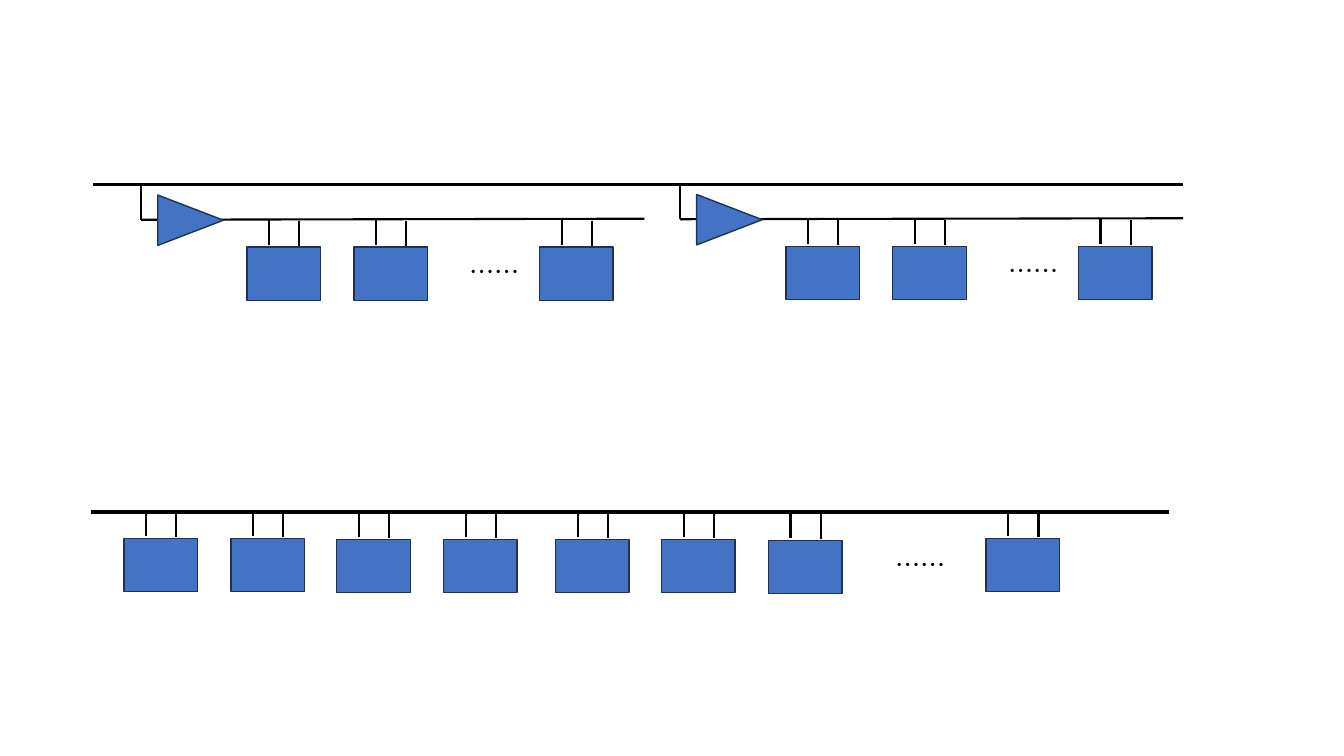
from lxml import etree
from pptx import Presentation
from pptx.dml.color import RGBColor
from pptx.enum.shapes import MSO_CONNECTOR, MSO_SHAPE
from pptx.enum.text import MSO_AUTO_SIZE
from pptx.oxml.ns import qn
from pptx.util import Inches, Pt

STRAIGHT = MSO_CONNECTOR.STRAIGHT
RECTANGLE = MSO_SHAPE.RECTANGLE
TRIANGLE = MSO_SHAPE.ISOSCELES_TRIANGLE
FIT_SHAPE = MSO_AUTO_SIZE.SHAPE_TO_FIT_TEXT

BLUE = RGBColor(0x44, 0x72, 0xC4)
NAVY = RGBColor(0x1E, 0x32, 0x56)
BLACK = RGBColor(0, 0, 0)
FONT = "Noto Sans CJK SC"

# Content: lengths in inches
ELLIPSIS = "……"
MAIN_BUSES = [(0.92, 11.73, 1.83), (0.9, 11.59, 5.08)]  # left, right, y
# Each buffered branch: left and top of its drop from the main bus
BRANCHES = [(1.4, 1.83), (6.745, 1.825)]
BRANCH_DEVICES = [1.05, 2.11, 3.95]  # offsets from the drop
DIRECT_DEVICES = [  # left, top
    (1.23, 5.34), (2.29, 5.34), (3.34, 5.35), (4.4, 5.35),
    (5.51, 5.35), (6.56, 5.35), (7.62, 5.36), (9.78, 5.34),
]
DIRECT_ELLIPSIS = (8.78, 5.4)

DEVICE_W, DEVICE_H = 0.73, 0.53
PINS = [(0.22, 0), (0.52, 0.01)]  # offset along the device, drop
PIN_RISE, PIN_LENGTH = 0.27, 0.25
BUFFER_W, BUFFER_H = 0.5, 0.65
BRANCH_DROP, BRANCH_LENGTH = 0.35, 4.99

prs = Presentation()
prs.slide_width, prs.slide_height = Inches(13.33), Inches(7.5)
slide = prs.slides.add_slide(prs.slide_layouts[6])


def add_wire(x1, y1, x2, y2, width=1.5):
    wire = slide.shapes.add_connector(
        STRAIGHT, Inches(x1), Inches(y1), Inches(x2), Inches(y2))
    wire.line.color.rgb = BLACK
    wire.line.width = Pt(width)
    etree.SubElement(wire._element.spPr, qn("a:effectLst"))


def add_block(kind, left, top, width, height, rotation=0):
    block = slide.shapes.add_shape(
        kind, Inches(left), Inches(top), Inches(width), Inches(height))
    block.rotation = rotation
    block.shadow.inherit = False
    block.fill.solid()
    block.fill.fore_color.rgb = BLUE
    block.line.color.rgb = NAVY
    block.line.width = Pt(1)


def add_text(text, left, top, width=0.78, height=0.4, size=18, color=BLACK):
    box = slide.shapes.add_textbox(
        Inches(left), Inches(top), Inches(width), Inches(height))
    box.text_frame.word_wrap = True
    box.text_frame.auto_size = FIT_SHAPE
    run = box.text_frame.paragraphs[0].add_run()
    run.text = text
    run.font.size = Pt(size)
    run.font.color.rgb = color
    run.font.name = FONT
    properties = run._r.get_or_add_rPr()
    properties.set("lang", "zh-CN")
    etree.SubElement(properties, qn("a:ea"), typeface=FONT)


def add_device(left, top):
    add_block(RECTANGLE, left, top, DEVICE_W, DEVICE_H)
    for offset, drop in PINS:
        x, y = left + offset, top - PIN_RISE + drop
        add_wire(x, y, x, y + PIN_LENGTH)


# Main buses
for left, right, y in MAIN_BUSES:
    add_wire(left, y, right, y, width=2.25)

# Buffered branches
for x, y in BRANCHES:
    branch_y = y + BRANCH_DROP
    add_wire(x, branch_y, x + BRANCH_LENGTH, branch_y - 0.01)
    add_wire(x, y, x, branch_y)
    add_block(TRIANGLE, x + 0.24, y + 0.03, BUFFER_W, BUFFER_H, rotation=90)
    for offset in BRANCH_DEVICES:
        add_device(x + offset, y + 0.62)
    add_text(ELLIPSIS, x + 3.16, y + 0.66)

# Devices directly on the lower bus
for left, top in DIRECT_DEVICES:
    add_device(left, top)
add_text(ELLIPSIS, *DIRECT_ELLIPSIS)

prs.save("out.pptx")
